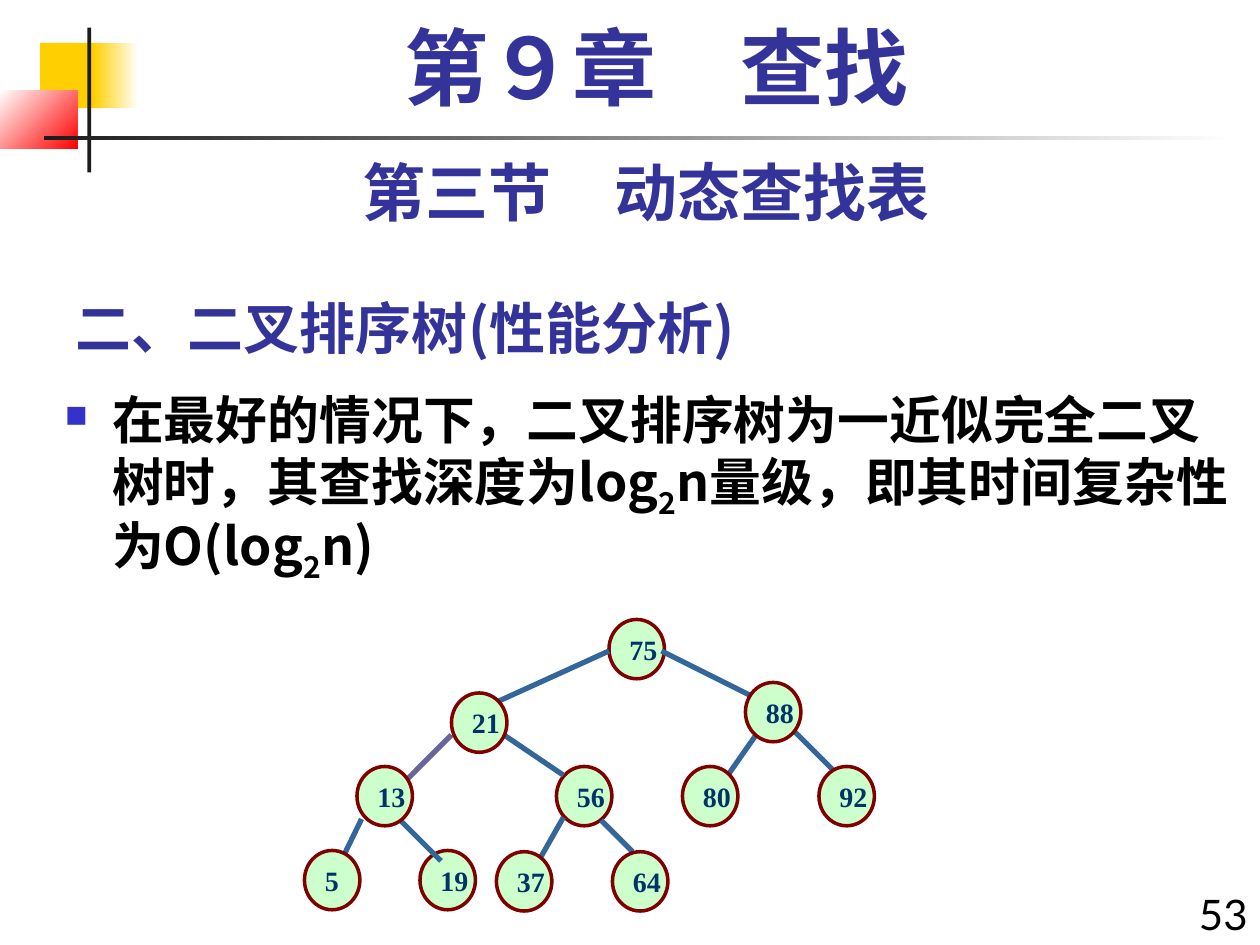
from dataclasses import dataclass

from lxml import etree
from pptx import Presentation
from pptx import util as u
from pptx.dml.color import RGBColor
from pptx.enum import shapes, text
from pptx.oxml import ns

NAVY = RGBColor(0x33, 0x33, 0x99)
BULLET = RGBColor(0x33, 0x33, 0xCC)
BLACK = RGBColor(0, 0, 0)
CHARCOAL = RGBColor(0x1C, 0x1C, 0x1C)
WHITE = RGBColor(0xFF, 0xFF, 0xFF)
YELLOW = RGBColor(0xFF, 0xCF, 0x01)
RED = RGBColor(0xFF, 0, 0)
MINT = RGBColor(0xCC, 0xFF, 0xCC)
MAROON = RGBColor(0x80, 0, 0)
DEEP_BLUE = RGBColor(0, 0x33, 0x66)
STEEL = RGBColor(0x33, 0x66, 0x99)
VIOLET = RGBColor(0x66, 0x66, 0x99)

CJK = "Noto Sans CJK SC"
LATO = "Lato"
TIMES = "Times New Roman"
NODE_WIDTH, NODE_HEIGHT = 31.7, 33.9


@dataclass
class Bar:
    left: float
    top: float
    width: float
    height: float
    start: RGBColor
    end: RGBColor | None = None
    angle: float = 0


@dataclass
class Node:
    key: str
    left: float
    top: float


@dataclass
class Edge:
    x1: float
    y1: float
    x2: float
    y2: float
    color: RGBColor = STEEL


BARS = [
    Bar(23, 24.5, 34.6, 37.4, YELLOW),
    Bar(53.3, 24.5, 25.9, 37.4, YELLOW, WHITE),
    Bar(0, 51.8, 44.3, 33.3, WHITE, RED, 315),
    Bar(49.9, 15.8, 2.2, 82.8, CHARCOAL),
    Bar(25.2, 77.9, 680.4, 2.3, CHARCOAL, WHITE),
]
NODES_BELOW = [Node("75", 348, 354), Node("56", 318, 438), Node("19", 240, 486)]
EDGES = [
    Edge(348, 372, 282, 402),
    Edge(258, 420, 228, 450, VIOLET),
    Edge(378, 372, 438, 402),
    Edge(288, 420, 322, 443),
    Edge(322, 467, 307.5, 492.5),
    Edge(450, 414, 480, 444),
    Edge(206.6, 468, 192, 498),
    Edge(228, 468, 252, 492),
    Edge(343.5, 468.7, 361.5, 486.7),
    Edge(432, 420, 414, 445.7),
]
NODES_ABOVE = [
    Node("64", 350, 486.7), Node("5", 174, 486), Node("37", 283.7, 486.7),
    Node("21", 258, 396), Node("80", 390, 438), Node("13", 204, 438),
    Node("88", 426, 390), Node("92", 468, 438),
]
BODY_SPANS = [
    ("在最好的情况下，二叉排序树为一近似完全二叉树时，其查找深度为log", False),
    ("2", True),
    ("n量级，即其时间复杂性为O(log", False),
    ("2", True),
    ("n)", False),
]


def format_span(span, size: float, font: str, color: RGBColor, bold: bool = True) -> None:
    span.font.size = u.Pt(size)
    span.font.name = font
    span.font.bold = bold
    span.font.color.rgb = color
    east_asian = etree.SubElement(span.font._element, ns.qn("a:ea"))
    east_asian.set("typeface", CJK)


def add_bar(page, bar: Bar) -> None:
    box = page.shapes.add_shape(shapes.MSO_SHAPE.RECTANGLE, u.Pt(bar.left), u.Pt(bar.top),
                                u.Pt(bar.width), u.Pt(bar.height))
    box.shadow.inherit = False
    box.line.fill.background()
    if bar.end is None:
        box.fill.solid()
        box.fill.fore_color.rgb = bar.start
        return
    box.fill.gradient()
    box.fill.gradient_angle = bar.angle
    for stop, color, position in zip(box.fill.gradient_stops, (bar.start, bar.end), (0, 1)):
        stop.color.rgb = color
        stop.position = position


def add_textbox(page, left: float, top: float, width: float, height: float, grow: bool = False):
    box = page.shapes.add_textbox(u.Pt(left), u.Pt(top), u.Pt(width), u.Pt(height))
    frame = box.text_frame
    frame.word_wrap = True
    frame.auto_size = text.MSO_AUTO_SIZE.SHAPE_TO_FIT_TEXT if grow else text.MSO_AUTO_SIZE.NONE
    return frame.paragraphs[0]


def add_node(page, node: Node) -> None:
    circle = page.shapes.add_shape(shapes.MSO_SHAPE.OVAL, u.Pt(node.left), u.Pt(node.top),
                                   u.Pt(NODE_WIDTH), u.Pt(NODE_HEIGHT))
    circle.shadow.inherit = False
    circle.fill.solid()
    circle.fill.fore_color.rgb = MINT
    circle.line.color.rgb = MAROON
    circle.line.width = u.Pt(2)
    frame = circle.text_frame
    frame.text = node.key
    frame.word_wrap = False
    frame.vertical_anchor = text.MSO_ANCHOR.MIDDLE
    para = frame.paragraphs[0]
    para.alignment = text.PP_ALIGN.LEFT
    format_span(para.runs[0], 16, TIMES, DEEP_BLUE)


def add_edge(page, edge: Edge) -> None:
    line = page.shapes.add_connector(shapes.MSO_CONNECTOR.STRAIGHT, u.Pt(edge.x1), u.Pt(edge.y1),
                                     u.Pt(edge.x2), u.Pt(edge.y2))
    line.line.color.rgb = edge.color
    line.line.width = u.Pt(3)
    etree.SubElement(line._element.spPr, ns.qn("a:effectLst"))


def add_bullet(para) -> None:
    props = para._p.get_or_add_pPr()
    props.set("marL", str(u.Pt(27)))
    props.set("indent", str(-u.Pt(27)))
    color = etree.SubElement(props, ns.qn("a:buClr"))
    etree.SubElement(color, ns.qn("a:srgbClr")).set("val", str(BULLET))
    etree.SubElement(props, ns.qn("a:buSzPct")).set("val", "60000")
    etree.SubElement(props, ns.qn("a:buChar")).set("char", "■")


def add_headings(page) -> None:
    title = page.shapes.title
    title.left, title.top, title.width, title.height = u.Pt(36), u.Pt(156), u.Pt(450), u.Pt(54)
    frame = title.text_frame
    frame.text = "二、二叉排序树(性能分析)"
    frame.auto_size = text.MSO_AUTO_SIZE.NONE
    frame.vertical_anchor = text.MSO_ANCHOR.BOTTOM
    frame.paragraphs[0].alignment = text.PP_ALIGN.LEFT
    format_span(frame.paragraphs[0].runs[0], 32, CJK, NAVY)

    number = add_textbox(page, 672, 504, 48, 42.5, grow=True)
    number.text = "53"
    number.alignment = text.PP_ALIGN.RIGHT
    number.space_before = u.Pt(15)
    format_span(number.runs[0], 24, LATO, BLACK, bold=False)

    section = add_textbox(page, 36, 84, 666, 50.4, grow=True)
    section.text = "第三节　动态查找表"
    section.alignment = text.PP_ALIGN.CENTER
    section.space_before = u.Pt(22.5)
    format_span(section.runs[0], 36, LATO, NAVY)

    chapter = add_textbox(page, 48, 12, 654, 60)
    chapter.text = "第９章　查找"
    chapter.alignment = text.PP_ALIGN.CENTER
    chapter.line_spacing = 0.9
    chapter.space_before = u.Pt(12)
    props = chapter._p.get_or_add_pPr()
    props.set("marL", str(u.Pt(27)))
    props.set("indent", str(-u.Pt(27)))
    format_span(chapter.runs[0], 48, TIMES, NAVY)


def add_body(page) -> None:
    para = add_textbox(page, 30, 222, 690, 132)
    para.line_spacing = 0.9
    para.space_before = u.Pt(12)
    add_bullet(para)
    for words, subscript in BODY_SPANS:
        span = para.add_run()
        span.text = words
        format_span(span, 29.6, CJK, BLACK)
        if subscript:
            span.font._element.set("baseline", "-25000")


def main() -> None:
    deck = Presentation()
    deck.slide_width, deck.slide_height = u.Pt(720), u.Pt(540)
    page = deck.slides.add_slide(deck.slide_layouts[5])
    for bar in BARS:
        add_bar(page, bar)
    add_headings(page)
    add_body(page)
    for node in NODES_BELOW:
        add_node(page, node)
    for edge in EDGES:
        add_edge(page, edge)
    for node in NODES_ABOVE:
        add_node(page, node)
    deck.save("out.pptx")


if __name__ == "__main__":
    main()
